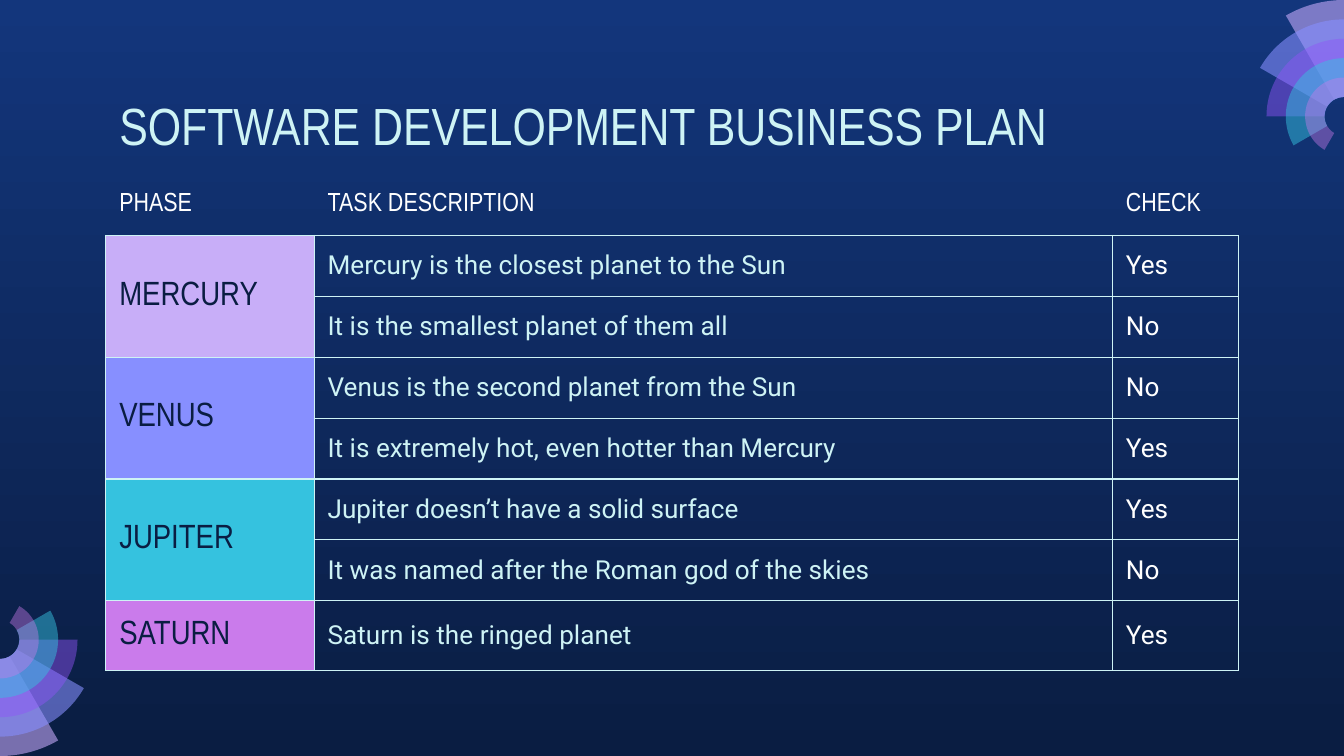
"""Build a business plan slide: a phase table between two fans of ring sectors."""
from math import ceil, cos, radians, sin, tan

from lxml.etree import SubElement
from pptx import Presentation
from pptx.dml.color import RGBColor
from pptx.enum.text import MSO_ANCHOR, MSO_AUTO_SIZE, PP_ALIGN
from pptx.oxml.ns import qn
from pptx.util import Inches, Pt

WIDE, HIGH = 10, 5.625
HEX = {
    "top": "13367C", "navy": "0A1D42", "ice": "CEF3F5", "white": "FFFFFF",
    "lilac": "C8AEF8", "pale": "C8ACFD", "blue": "878FFF",
    "violet": "9154F8", "cyan": "35C2DF", "orchid": "CA7BEB",
}
HEAD_FONT, BODY_FONT = "Arial Narrow", "Roboto"
TITLE = "SOFTWARE DEVELOPMENT BUSINESS PLAN"
HEADS = ["PHASE", "TASK DESCRIPTION", "CHECK"]
PHASES = [
    ("MERCURY", "lilac", [("Mercury is the closest planet to the Sun", "Yes"),
                          ("It is the smallest planet of them all", "No")]),
    ("VENUS", "blue", [("Venus is the second planet from the Sun", "No"),
                       ("It is extremely hot, even hotter than Mercury", "Yes")]),
    ("JUPITER", "cyan", [("Jupiter doesn’t have a solid surface", "Yes"),
                         ("It was named after the Roman god of the skies", "No")]),
    ("SATURN", "orchid", [("Saturn is the ringed planet", "Yes")]),
]
RINGS = [("pale", 58), ("blue", 58), ("violet", 46), ("cyan", 49), ("orchid", 42)]
STEP = HIGH / 39
REACH = 6 * STEP
FANS = [(WIDE, REACH, 90), (0, HIGH - REACH, 270)]
LEFT = HIGH * 0.14
COLS = [1.55, 5.94, 0.94]
TALL, LAST = 3.69, 0.52


def rgb(name):
    return RGBColor.from_string(HEX[name])


def style(para, font, size, color):
    para.font.name, para.font.size = font, Pt(size)
    para.font.color.rgb = rgb(color)
    para.alignment = PP_ALIGN.LEFT


def arc(x, y, radius, start, end):
    """Return the first point and the control points of cubic curves."""
    count = ceil(abs(end - start) / 90)
    turn = radians(end - start) / count
    pull = 4 / 3 * tan(turn / 4)

    def spot(angle, bend):
        across = cos(angle) - bend * sin(angle)
        up = sin(angle) + bend * cos(angle)
        return Inches(x + radius * across), Inches(y - radius * up)

    points = [spot(radians(start), 0)]
    for i in range(count):
        here = radians(start) + i * turn
        points += [spot(here, pull), spot(here + turn, -pull), spot(here + turn, 0)]
    return points


def curve(trace, first, count):
    for i in range(first, first + count, 3):
        trio = trace[i:i + 3]
        bend = trio[0].makeelement(qn("a:cubicBezTo"), {})
        trio[0].addprevious(bend)
        for step in trio:
            bend.append(step[0])
            step.getparent().remove(step)


def draw_fan(slide, x, y, start):
    for i, (color, alpha) in enumerate(RINGS):
        end = start + 30 * (i + 1)
        outer = arc(x, y, REACH - i * STEP, start, end)
        inner = arc(x, y, STEP, end, start)
        pen = slide.shapes.build_freeform(*outer[0])
        pen.add_line_segments(outer[1:] + inner, close=True)
        ring = pen.convert_to_shape()
        ring.shadow.inherit = False
        ring.line.fill.background()
        ring.fill.solid()
        ring.fill.fore_color.rgb = rgb(color)
        tint = ring.element.spPr.find(qn("a:solidFill")).find(qn("a:srgbClr"))
        SubElement(tint, qn("a:alpha"), val=str(alpha * 1000))
        trace = list(ring.element.iter(qn("a:lnTo")))
        curve(trace, 0, len(outer) - 1)
        curve(trace, len(outer), len(inner) - 1)


def edge(cell, shown):
    props = cell._tc.get_or_add_tcPr()
    for side in "LRTB":
        line = SubElement(props, qn("a:ln" + side), w=str(Pt(0.75)))
        if side in shown:
            fill = SubElement(line, qn("a:solidFill"))
            SubElement(fill, qn("a:srgbClr"), val=HEX["ice"])
        else:
            SubElement(line, qn("a:noFill"))


def write(cell, text, font, size, color):
    cell.text = text
    style(cell.text_frame.paragraphs[0], font, size, color)


def add_plan(slide):
    count = 1 + sum(len(tasks) for _, _, tasks in PHASES)
    frame = slide.shapes.add_table(count, len(COLS), Inches(LEFT), Inches(1.3),
                                   Inches(sum(COLS)), Inches(TALL))
    table = frame.table
    table.first_row = table.horz_banding = False
    for col, width in zip(table.columns, COLS):
        col.width = Inches(width)
    for i, row in enumerate(table.rows):
        row.height = Inches(LAST if i == count - 1 else (TALL - LAST) / (count - 1))
        for cell in row.cells:
            edge(cell, "LRTB" if i else "B")
            cell.fill.background()
            cell.vertical_anchor = MSO_ANCHOR.MIDDLE
            cell.margin_left = cell.margin_right = Inches(0.1)
            cell.margin_top = cell.margin_bottom = Inches(0.1)
    for i, head in enumerate(HEADS):
        write(table.cell(0, i), head, HEAD_FONT, 14, "white")
    top = 1
    for name, color, tasks in PHASES:
        phase = table.cell(top, 0)
        if len(tasks) > 1:
            phase.merge(table.cell(top + len(tasks) - 1, 0))
        phase.fill.solid()
        phase.fill.fore_color.rgb = rgb(color)
        write(phase, name, HEAD_FONT, 18, "navy")
        for i, (task, check) in enumerate(tasks, top):
            write(table.cell(i, 1), task, BODY_FONT, 14, "ice")
            write(table.cell(i, 2), check, BODY_FONT, 14, "white")
        top += len(tasks)


def set_title(title):
    title.left, title.top = Inches(LEFT), Inches(0.59)
    title.width, title.height = Inches(sum(COLS)), Inches(0.63)
    frame = title.text_frame
    frame.text = TITLE
    frame.auto_size = MSO_AUTO_SIZE.NONE
    frame.vertical_anchor = MSO_ANCHOR.TOP
    frame.margin_left = frame.margin_right = Inches(0.1)
    frame.margin_top = frame.margin_bottom = Inches(0.1)
    style(frame.paragraphs[0], HEAD_FONT, 28, "ice")


def main():
    deck = Presentation()
    deck.slide_width, deck.slide_height = Inches(WIDE), Inches(HIGH)
    slide = deck.slides.add_slide(deck.slide_layouts[5])
    fill = slide.background.fill
    fill.gradient()
    fill.gradient_angle = 270
    for stop, color, place in zip(fill.gradient_stops, ["top", "navy"], [0, 1]):
        stop.color.rgb, stop.position = rgb(color), place
    for fan in FANS:
        draw_fan(slide, *fan)
    set_title(slide.shapes.title)
    add_plan(slide)
    deck.save("out.pptx")


if __name__ == "__main__":
    main()
